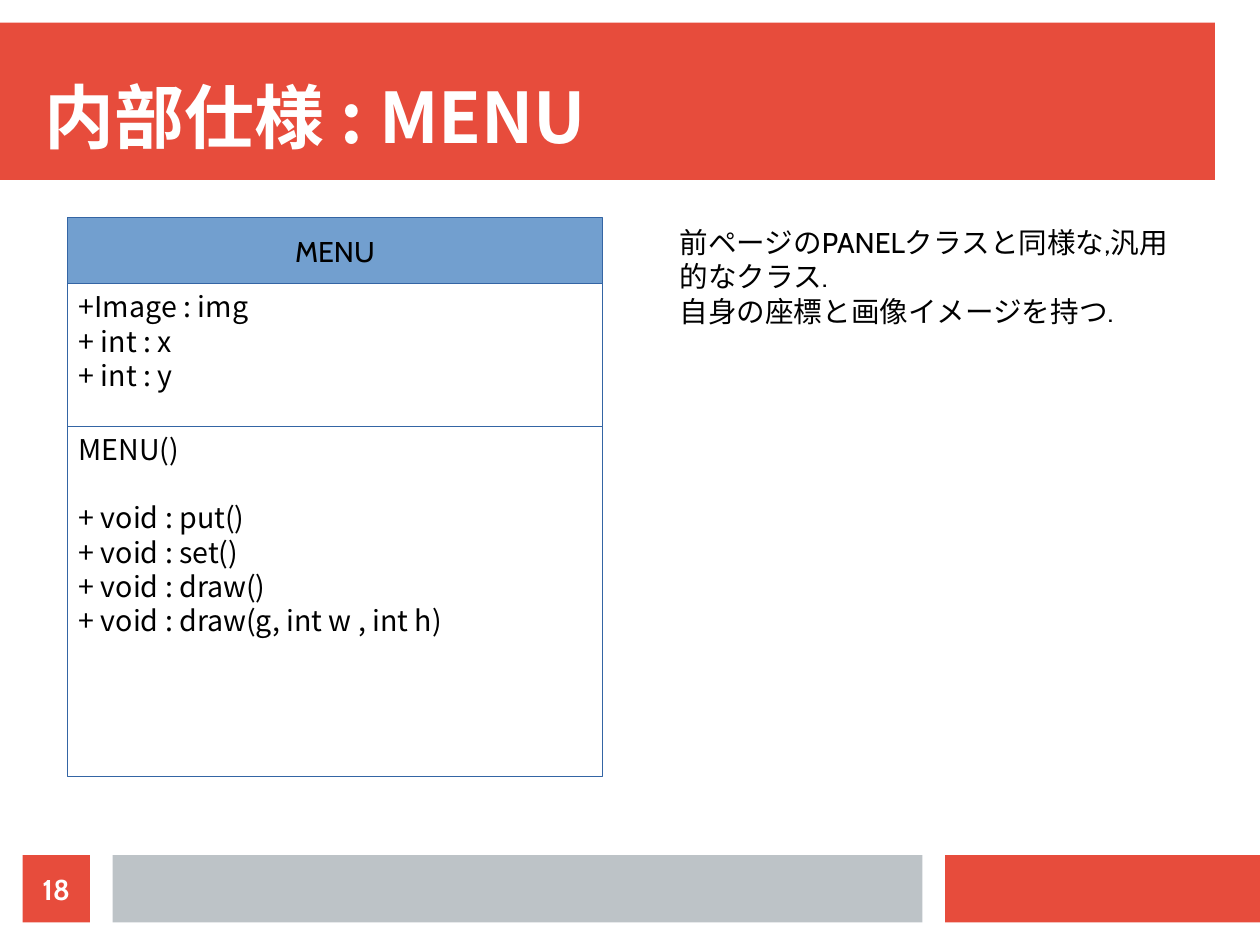
from lxml import etree
from pptx import Presentation
from pptx.dml.color import RGBColor
from pptx.enum.shapes import MSO_SHAPE
from pptx.enum.text import MSO_ANCHOR, PP_ALIGN
from pptx.oxml.ns import qn
from pptx.util import Pt

RECTANGLE = MSO_SHAPE.RECTANGLE
TOP, MIDDLE, BOTTOM = MSO_ANCHOR.TOP, MSO_ANCHOR.MIDDLE, MSO_ANCHOR.BOTTOM
LEFT, CENTER = PP_ALIGN.LEFT, PP_ALIGN.CENTER

RED = RGBColor(0xE7, 0x4C, 0x3C)
GRAY = RGBColor(0xBD, 0xC3, 0xC7)
BLUE = RGBColor(0x72, 0x9F, 0xCF)
DARK_BLUE = RGBColor(0x34, 0x65, 0xA4)
WHITE = RGBColor(0xFF, 0xFF, 0xFF)
BLACK = RGBColor(0, 0, 0)

LATIN_FONT = "Cabin"
JAPANESE_FONT = "Noto Sans CJK JP"
SLIDE_WIDTH, SLIDE_HEIGHT = 793.7, 595.3
BODY_SIZE = 18
BLANK_LINE = 21.5


def add_rectangle(slide, left, top, width, height, fill, line=None):
    shape = slide.shapes.add_shape(
        RECTANGLE, Pt(left), Pt(top), Pt(width), Pt(height))
    shape.shadow.inherit = False
    shape.fill.solid()
    shape.fill.fore_color.rgb = fill
    if line is None:
        shape.line.fill.background()
    else:
        shape.line.color.rgb = line
        shape.line.width = Pt(0)
    return shape


def add_text_box(slide, left, top, width, height):
    return slide.shapes.add_textbox(
        Pt(left), Pt(top), Pt(width), Pt(height))


def write_lines(shape, lines, font_name=JAPANESE_FONT, size=BODY_SIZE,
                color=BLACK, bold=False, align=LEFT, anchor=TOP,
                margins=(7.2, 3.6)):
    frame = shape.text_frame
    frame.word_wrap = True
    frame.vertical_anchor = anchor
    frame.margin_left = frame.margin_right = Pt(margins[0])
    frame.margin_top = frame.margin_bottom = Pt(margins[1])
    frame.text = "\n".join(lines)
    for paragraph in frame.paragraphs:
        paragraph.alignment = align
        font = paragraph.font
        font.name = font_name
        font.size = Pt(size)
        font.bold = bold
        font.color.rgb = color
        # East Asian typeface for the Japanese characters
        properties = paragraph.runs[0].font._element
        etree.SubElement(properties, qn("a:ea"), typeface=JAPANESE_FONT)
        etree.SubElement(
            paragraph.font._element, qn("a:ea"), typeface=JAPANESE_FONT)
    return frame


def add_header(slide, left, top, width, height, title):
    add_rectangle(slide, left, top, width, height, RED)
    title_box = add_text_box(slide, left + 28.35, top + 14.2,
                             width - 28.35, 70.85)
    write_lines(title_box, [title], size=44, color=WHITE, bold=True,
                anchor=BOTTOM, margins=(0, 0))


def add_class_diagram(slide, left, top, width, height, name, fields,
                      constructor, methods):
    name_height, fields_height = 41.4, 90
    fields_top = top + name_height
    methods_top = fields_top + fields_height

    # Class name
    name_box = add_rectangle(slide, left, top, width, name_height,
                             BLUE, DARK_BLUE)
    write_lines(name_box, [name], LATIN_FONT, align=CENTER, anchor=MIDDLE)

    # Fields
    fields_box = add_rectangle(slide, left, fields_top, width, fields_height,
                               WHITE, DARK_BLUE)
    write_lines(fields_box, fields)

    # Constructor and methods
    methods_box = add_rectangle(slide, left, methods_top, width,
                                top + height - methods_top, WHITE, DARK_BLUE)
    frame = write_lines(methods_box, [constructor] + methods)
    frame.paragraphs[0].space_after = Pt(BLANK_LINE)


def add_description(slide, left, top, width, height, lines):
    write_lines(add_text_box(slide, left, top, width, height),
                lines, LATIN_FONT)


def add_footer(slide, left, top, width, height, page_number):
    gap, gray_width = 14.2, 510.2
    number_box = add_rectangle(slide, left, top, height, height, RED)
    write_lines(number_box, [page_number], LATIN_FONT, color=WHITE,
                bold=True, align=CENTER, anchor=MIDDLE, margins=(0, 0))
    gray_left = left + height + gap
    add_rectangle(slide, gray_left, top, gray_width, height, GRAY)
    red_left = gray_left + gray_width + gap
    add_rectangle(slide, red_left, top, left + width - red_left, height, RED)


def main():
    presentation = Presentation()
    presentation.slide_width = Pt(SLIDE_WIDTH)
    presentation.slide_height = Pt(SLIDE_HEIGHT)
    slide = presentation.slides.add_slide(presentation.slide_layouts[6])

    add_header(slide, 0, 14.2, 765.4, 99.2, "内部仕様 : MENU")
    add_class_diagram(
        slide, 42.5, 137.2, 337, 352, "MENU",
        ["+Image : img", "+ int : x", "+ int : y"],
        "MENU()",
        ["+ void : put()", "+ void : set()", "+ void : draw()",
         "+ void : draw(g, int w , int h)"])
    add_description(
        slide, 421, 138.3, 322, 129.6,
        ["前ページのPANELクラスと同様な,汎用的なクラス.",
         "自身の座標と画像イメージを持つ."])
    add_footer(slide, 14.2, 538.6, SLIDE_WIDTH - 14.2, 42.5, "18")

    presentation.save("out.pptx")


if __name__ == "__main__":
    main()
